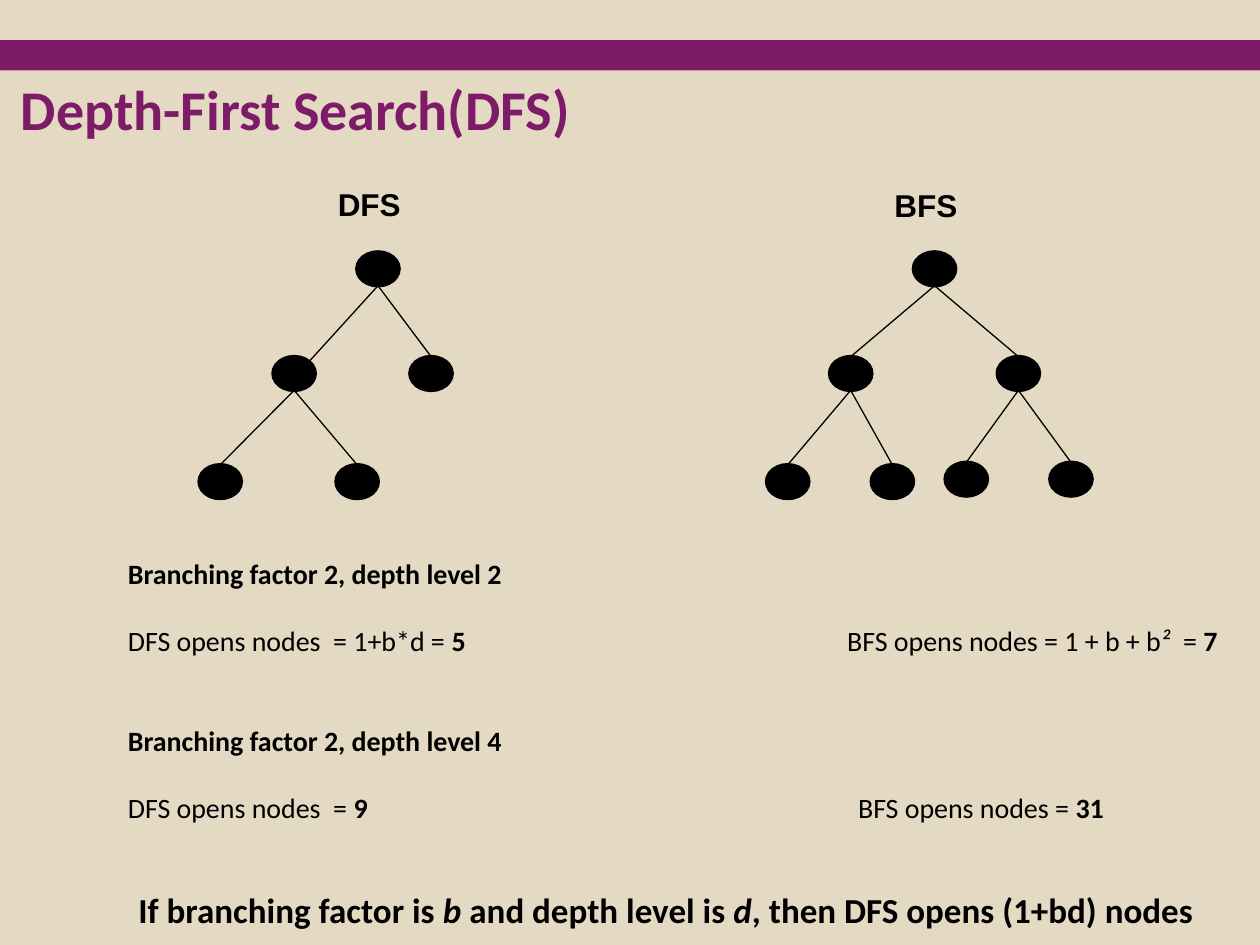
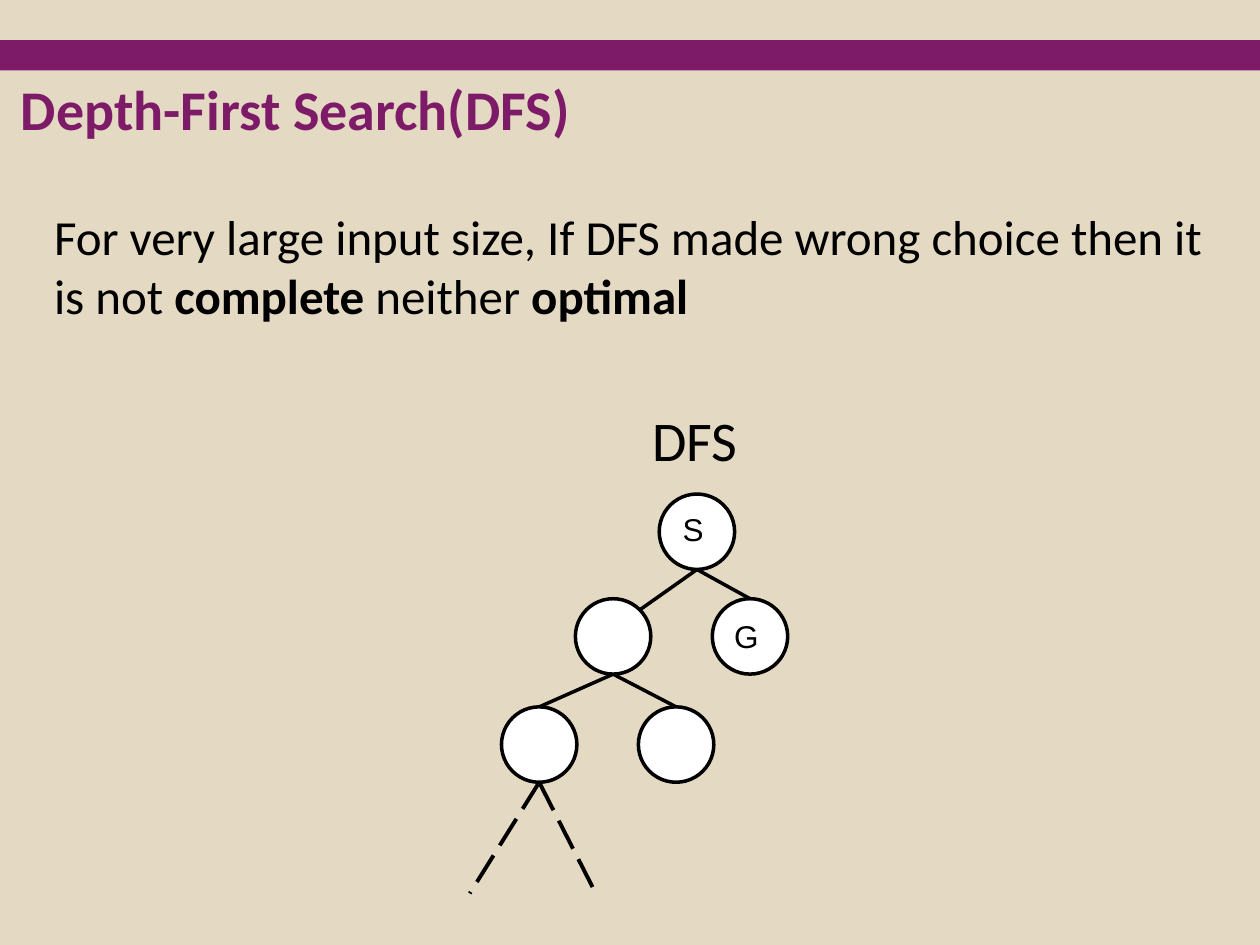
import pptx
import pptx.util
import pptx.dml.color
import pptx.enum.dml
import pptx.enum.shapes
import pptx.oxml.ns
import lxml.etree

Cm, Pt = pptx.util.Cm, pptx.util.Pt
RGBColor = pptx.dml.color.RGBColor
OVAL = pptx.enum.shapes.MSO_SHAPE.OVAL
RECT = pptx.enum.shapes.MSO_SHAPE.RECTANGLE
LINE = pptx.enum.shapes.MSO_CONNECTOR.STRAIGHT
DASH = pptx.enum.dml.MSO_LINE.LONG_DASH
qn = pptx.oxml.ns.qn

SAND = RGBColor(0xE4, 0xDA, 0xC4)
PLUM = RGBColor(0x7E, 0x1B, 0x68)
BLACK = RGBColor(0, 0, 0)
WHITE = RGBColor(0xFF, 0xFF, 0xFF)

WIDE, HIGH = 25.4, 19.05
TITLE = "Depth-First Search(DFS)"

# Paragraphs: (space before in points, tab stop in cm, runs); a run is (text, marks).
COUNTS = [
    (0, None, [("Branching factor 2, depth level 2", "b")]),
    (19, 14.5, [("DFS opens nodes  = 1+b*d = ", ""), ("5", "b"),
                ("\tBFS opens nodes = 1 + b + b", ""), ("²", "i"),
                ("  = ", ""), ("7", "b")]),
    (38, None, [("Branching factor 2, depth level 4", "b")]),
    (19, 14.72, [("DFS opens nodes  = ", ""), ("9", "b"),
                 ("\tBFS opens nodes = ", ""), ("31", "b")]),
]
RULE = [("If branching factor is ", "b"), ("b ", "bi"),
        ("and depth level is ", "b"), ("d", "bi"),
        (", then DFS opens (1+bd) nodes", "b")]
CLAIM = [("For very large input size, If DFS made wrong choice then it is not ", ""),
         ("complete", "b"), (" neither ", ""), ("optimal", "b")]

# Nodes: (across from root, down from root, parent index, side where the edge lands), in cm.
DFS = [(0, 0, None, ""), (-1.69, 2.11, 0, "corner"), (1.07, 2.11, 0, "top"),
       (-3.18, 4.29, 1, "top"), (-0.42, 4.29, 1, "top")]
BFS = [(0, 0, None, ""), (-1.69, 2.11, 0, "top"), (1.69, 2.11, 0, "top"),
       (-2.96, 4.29, 1, "top"), (-0.85, 4.29, 1, "top"),
       (0.64, 4.24, 2, "top"), (2.75, 4.24, 2, "top")]
OPEN = [(-1.4, 2.24), (1.14, 2.24)]


def plain(text, marks=""):
    return [(0, None, [(text, marks)])]


def write(slide, box, paras, size, font="Calibri", color=BLACK, inset=True):
    frame = slide.shapes.add_textbox(*map(Cm, box)).text_frame
    frame.word_wrap = True
    if not inset:
        frame.margin_left = frame.margin_right = 0
        frame.margin_top = frame.margin_bottom = 0
    for num, (gap, stop, runs) in enumerate(paras):
        para = frame.add_paragraph() if num else frame.paragraphs[0]
        if gap:
            para.space_before = Pt(gap)
        if stop:
            tabs = lxml.etree.SubElement(para._p.get_or_add_pPr(), qn("a:tabLst"))
            lxml.etree.SubElement(tabs, qn("a:tab"), pos=str(Cm(stop)), algn="l")
        for text, marks in runs:
            run = para.add_run()
            run.text = text
            run.font.name, run.font.size = font, Pt(size)
            run.font.bold, run.font.italic = "b" in marks, "i" in marks
            run.font.color.rgb = color


def shape(slide, kind, box, fill):
    item = slide.shapes.add_shape(kind, *map(Cm, box))
    item.shadow.inherit = False
    item.fill.solid()
    item.fill.fore_color.rgb = fill
    return item


def link(slide, start, end, weight, dash=None):
    edge = slide.shapes.add_connector(LINE, *map(Cm, start + end))
    lxml.etree.SubElement(edge._element.spPr, qn("a:effectLst"))
    edge.line.color.rgb = BLACK
    edge.line.width = Pt(weight)
    if dash:
        edge.line.dash_style = dash


def tree(slide, nodes, root, size, fill, weight):
    """Draw nodes and edges below root (top centre); return each node's top centre."""
    wide, high = size
    tops = [(root[0] + dx, root[1] + dy) for dx, dy, _, _ in nodes]
    for x, y in tops:
        node = shape(slide, OVAL, (x - wide / 2, y, wide, high), fill)
        node.line.color.rgb = BLACK
        node.line.width = Pt(2)
    for (x, y), (_, _, above, side) in zip(tops, nodes):
        if above is None:
            continue
        if side == "corner":
            x, y = x + 0.35 * wide, y + 0.15 * high
        px, py = tops[above]
        link(slide, (px, py + high), (x, y), weight)
    return tops


def page(deck):
    slide = deck.slides.add_slide(deck.slide_layouts[6])
    slide.background.fill.solid()
    slide.background.fill.fore_color.rgb = SAND
    shape(slide, RECT, (0, 0.81, WIDE, 0.61), PLUM).line.fill.background()
    write(slide, (0.42, 1.5, 24.76, 2.06), plain(TITLE, "b"), 32,
          color=PLUM, inset=False)
    return slide


def compare(deck):
    slide = page(deck)
    for name, nodes, root, left, top in (("DFS", DFS, 7.62, 6.56, 3.61),
                                         ("BFS", BFS, 18.84, 17.78, 3.63)):
        tree(slide, nodes, (root, 5.08), (0.85, 0.68), BLACK, 0.75)
        write(slide, (left, top, 2.54, 1.02), plain(name, "b"), 18, "Arial")
    write(slide, (2.33, 11.1, WIDE - 2.33, 7.09), COUNTS, 16)
    write(slide, (2.54, 17.78, WIDE - 2.54, 1.12), [(0, None, RULE)], 20)


def limits(deck):
    slide = page(deck)
    side = 1.52
    tops = tree(slide, DFS, (14.05, 9.96), (side, side), WHITE, 2)
    x, y = tops[3]
    for dx, dy in OPEN:
        link(slide, (x, y + side), (x + dx, y + side + dy), 2.25, DASH)
    write(slide, (12.9, 8.05, 2.54, 1.63), plain("DFS"), 32)
    for name, left, top in (("S", 13.51, 10.16), ("G", 14.55, 12.32)):
        write(slide, (left, top, 0.71, 1.02), plain(name), 18, "Arial")
    write(slide, (0.84, 4.04, 24.33, 2.74), [(0, None, CLAIM)], 28)


def main():
    deck = pptx.Presentation()
    deck.slide_width, deck.slide_height = Cm(WIDE), Cm(HIGH)
    compare(deck)
    limits(deck)
    deck.save("out.pptx")


if __name__ == "__main__":
    main()
